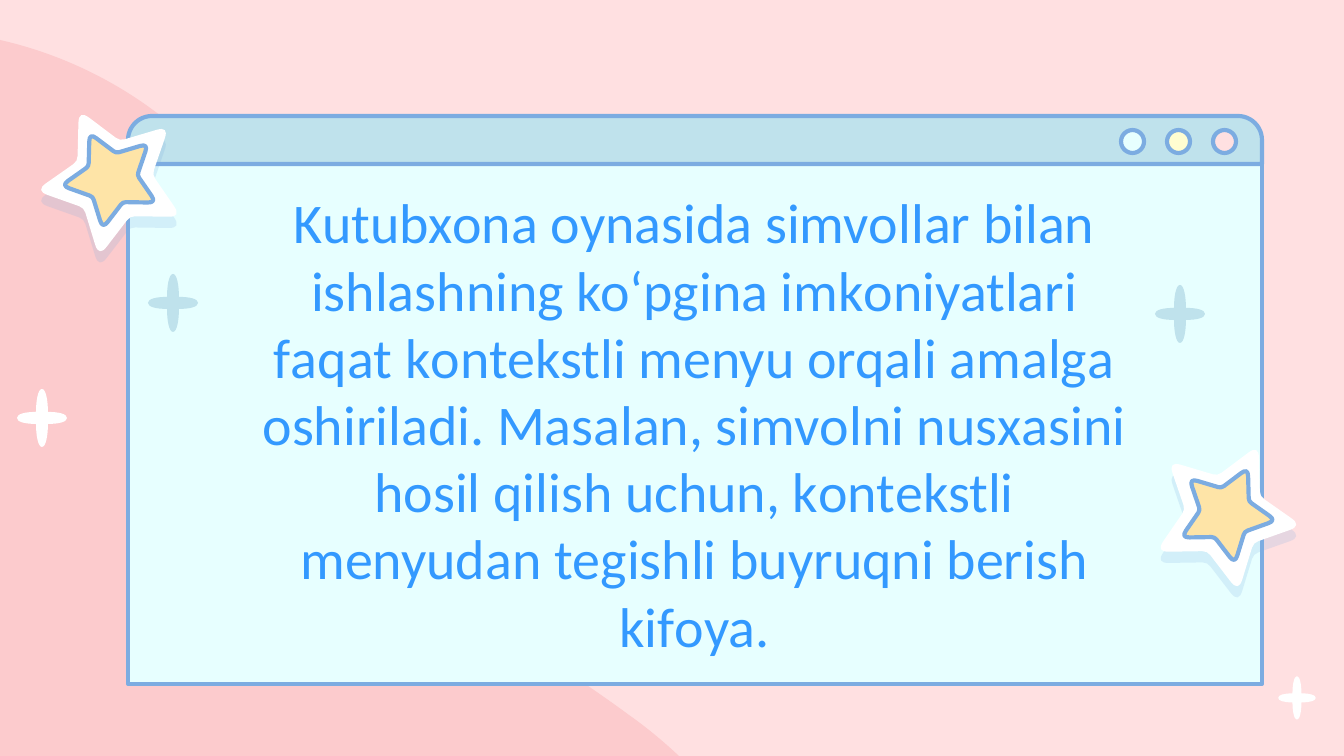
import math

import lxml.etree
import pptx
import pptx.dml.color
import pptx.enum.shapes
import pptx.enum.text
import pptx.oxml
import pptx.oxml.ns
import pptx.util

RGBColor = pptx.dml.color.RGBColor
MSO_SHAPE = pptx.enum.shapes.MSO_SHAPE
qn = pptx.oxml.ns.qn
PINK = RGBColor(0xFF, 0xE0, 0xE1)
ROSE = RGBColor(0xFC, 0xCB, 0xCD)
ICE = RGBColor(0xE7, 0xFF, 0xFF)
TEAL = RGBColor(0xBF, 0xE2, 0xEC)
CREAM = RGBColor(0xFF, 0xFD, 0xD1)
GOLD = RGBColor(0xFE, 0xE4, 0xA7)
WHITE = RGBColor(0xFF, 0xFF, 0xFF)
OUTLINE = RGBColor(0x7C, 0xAC, 0xE1)
TEXT_BLUE = RGBColor(0x33, 0x99, 0xFF)

PX = 9144000 / 1344  # EMU in one px

prs = pptx.Presentation()
prs.slide_width = round(1344 * PX)
prs.slide_height = round(756 * PX)
slide = prs.slides.add_slide(prs.slide_layouts[5])
shapes = slide.shapes
slide.background.fill.solid()
slide.background.fill.fore_color.rgb = PINK


def paint(shape, fill, outlined=False):
    shape.shadow.inherit = False
    shape.fill.solid()
    shape.fill.fore_color.rgb = fill
    if outlined:
        shape.line.color.rgb = OUTLINE
        shape.line.width = pptx.util.Pt(2.25)
    else:
        shape.line.fill.background()


def add_outline(start, segments, fill, outlined=False, center=(0, 0), size=1):
    """Add a closed freeform; a segment is one point (line) or three (cubic curve)."""
    start, *points = [
        ((center[0] + size * x) * PX, (center[1] + size * y) * PX)
        for x, y in [start] + [point for segment in segments for point in segment]
    ]
    builder = shapes.build_freeform(*start, scale=1.0)
    builder.add_line_segments(points, close=True)
    shape = builder.convert_to_shape()
    lines = list(shape._element.iter(qn("a:lnTo")))
    for segment in segments:
        used, lines = lines[:len(segment)], lines[len(segment):]
        if len(used) == 3:
            curve = lxml.etree.Element(qn("a:cubicBezTo"))
            used[0].addprevious(curve)
            for line in used:
                curve.append(line[0])
                line.getparent().remove(line)
    paint(shape, fill, outlined)
    return shape


# Wave in the background
add_outline((0, 40), [
    [(101, 63), (192, 124), (249, 211)],
    [(314, 312), (333, 439), (407, 536)],
    [(465, 612), (552, 658), (629, 715)],
    [(646, 727), (663, 741), (679, 756)],
    [(0, 756)],
], ROSE)

# Browser window
window_parts = [
    (MSO_SHAPE.RECTANGLE, 128, 164, 1134, 520, ICE),
    (MSO_SHAPE.ROUND_2_SAME_RECTANGLE, 128, 116, 1134, 48, TEAL),
]
for index, fill in enumerate((ICE, CREAM, PINK)):
    window_parts.append((MSO_SHAPE.OVAL, 1121 + 46 * index, 130, 23, 23, fill))
for kind, left, top, width, height, fill in window_parts:
    part = shapes.add_shape(kind, *(round(v * PX) for v in (left, top, width, height)))
    paint(part, fill, outlined=True)
    if kind == MSO_SHAPE.ROUND_2_SAME_RECTANGLE:
        part.adjustments[0] = 0.5

# Sparkles: one quarter, mirrored down and then to the left
quarter = [(0, -29), (4, -29), (6, -17), (6, -6), (17, -6), (25, -4), (25, 0)]
right_half = quarter + [(x, -y) for x, y in quarter[-2::-1]]
sparkle = right_half + [(-x, y) for x, y in right_half[-2::-1]]
sparkle_curves = [sparkle[i:i + 3] for i in range(1, len(sparkle), 3)]
for center, size, fill in [
    ((42, 418), 1, WHITE),
    ((1297, 698), 0.75, WHITE),
    ((173, 303), 1, TEAL),
    ((1180, 314), 1, TEAL),
]:
    add_outline(sparkle[0], sparkle_curves, fill, center=center, size=size)

# Title, in front of the window
title = shapes.title
title.left, title.top, title.width, title.height = (
    round(v * PX) for v in (235, 175, 919, 482)
)
shapes._spTree.append(title._element)
frame = title.text_frame
frame.word_wrap = True
frame.auto_size = pptx.enum.text.MSO_AUTO_SIZE.NONE
frame.vertical_anchor = pptx.enum.text.MSO_ANCHOR.TOP
frame.margin_left = frame.margin_right = round(13 * PX)
frame.margin_top = frame.margin_bottom = round(13 * PX)
paragraph = frame.paragraphs[0]
paragraph.alignment = pptx.enum.text.PP_ALIGN.CENTER
sentence = paragraph.add_run()
sentence.text = (
    "Kutubхоnа оynаsidа simvоllаr bilаn ishlаshning ko‘pginа imkоniyatlаri "
    "fаqаt kоntеkstli mеnyu оrqаli аmаlgа оshirilаdi. Mаsаlаn, simvоlni "
    "nusхаsini hоsil qilish uchun, kоntеkstli mеnyudаn tеgishli buyruqni "
    "bеrish kifоya."
)
sentence.font.name = "Calibri"
sentence.font.size = pptx.util.Pt(30)
sentence.font.color.rgb = TEXT_BLUE

# Star stickers: five points with rounded corners, tilted a little
for center, rotation, tilt in [((109.5, 176), 338.2, -4), ((1228, 511), 21.8, 4)]:
    corners = []
    for index in range(10):
        radius = 40 if index % 2 else 78
        angle = math.radians(36 * index - 90 + tilt)
        corners.append((radius * math.cos(angle), radius * math.sin(angle)))
    star = []
    for index, corner in enumerate(corners):
        cut = 5 if index % 2 else 13
        neighbours = (corners[index - 1], corners[(index + 1) % 10])
        # Curve from cut to cut, its handles two thirds of the way to the corner
        entry, handle_in, handle_out, leave = (
            tuple(
                p + (q - p) * reach / math.dist(corner, other)
                for p, q in zip(corner, other)
            )
            for other, reach in zip(
                (neighbours[0], neighbours[0], neighbours[1], neighbours[1]),
                (cut, cut / 3, cut / 3, cut),
            )
        )
        star += [[entry], [handle_in, handle_out, leave]]
    for size, fill, outlined in [(1, WHITE, False), (0.65, GOLD, True)]:
        sticker = add_outline(star[0][0], star[1:], fill, outlined, center, size)
        sticker.left = round(center[0] * PX - sticker.width / 2)
        sticker.top = round(center[1] * PX - sticker.height / 2)
        sticker.rotation = rotation
        if not outlined:
            effects = sticker._element.spPr.find(qn("a:effectLst"))
            effects.append(pptx.oxml.parse_xml(
                f'<a:outerShdw {pptx.oxml.ns.nsdecls("a")} dist="76200" '
                f'dir="5400000" rotWithShape="0"><a:srgbClr val="{OUTLINE}">'
                '<a:alpha val="19000"/></a:srgbClr></a:outerShdw>'
            ))

prs.save("out.pptx")
